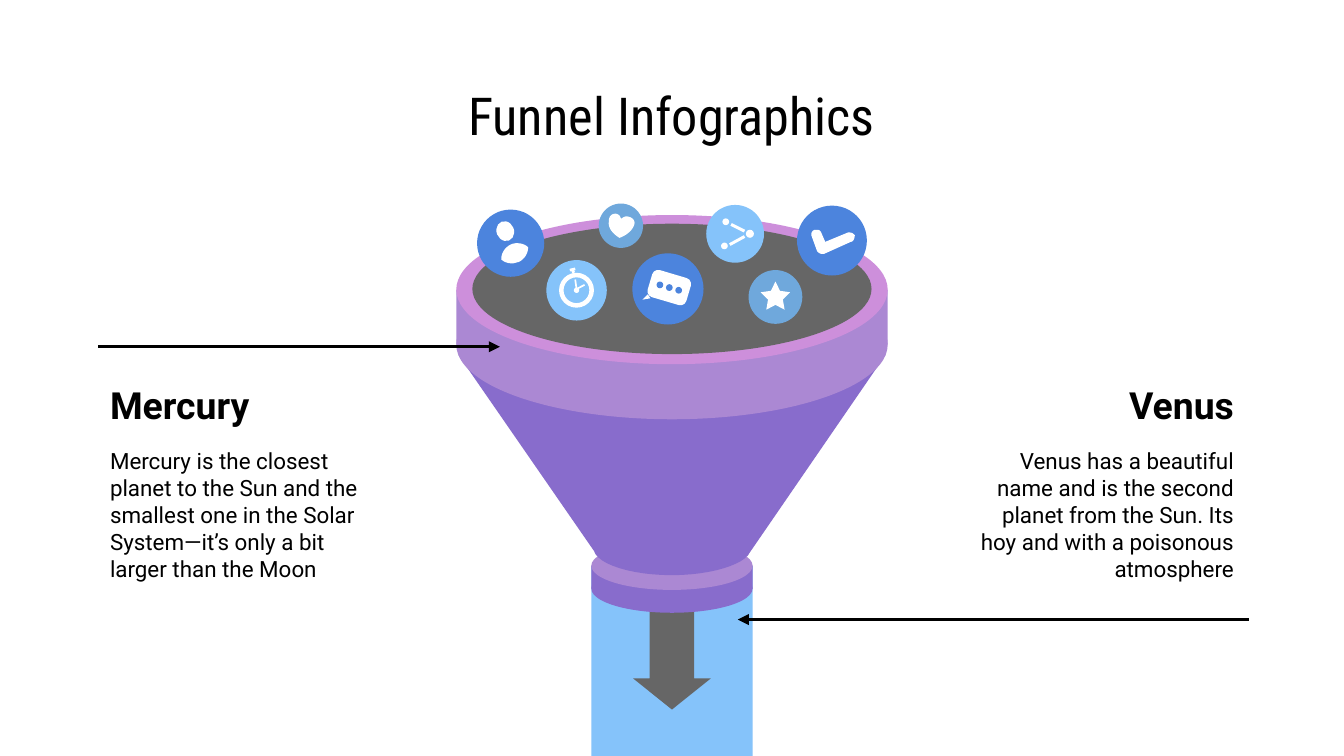
from lxml.etree import SubElement
from pptx import Presentation
from pptx.dml.color import RGBColor
from pptx.enum.shapes import MSO_CONNECTOR, MSO_SHAPE as SHAPE
from pptx.enum.text import MSO_ANCHOR as ANCHOR, PP_ALIGN as ALIGN
from pptx.oxml.ns import qn
from pptx.util import Inches, Pt

W = 10
H = W * 9 / 16
MID = W / 2
BLACK, WHITE, GRAY = "000000", "FFFFFF", "666666"
BLUE, STEEL, SKY = "4C84DD", "6FA8DC", "85C3FA"
PURPLE, LILAC, PINK = "886CCC", "AB88D3", "CD8FDB"

TITLE = "Funnel Infographics"
# heading, body, left, alignment
NOTES = [
    ("Mercury", "Mercury is the closest planet to the Sun and the smallest one in "
     "the Solar System—it’s only a bit larger than the Moon", 0.72, ALIGN.LEFT),
    ("Venus", "Venus has a beautiful name and is the second planet from the Sun. "
     "Its hoy and with a poisonous atmosphere", 7.07, ALIGN.RIGHT),
]
POINTERS = [((0.73, 2.58), (3.72, 2.58)), ((9.29, 4.61), (5.49, 4.61))]

# centre x, centre y, diameter, colour
BADGES = {
    "user": (3.8, 1.81, 0.5, BLUE),
    "timer": (4.29, 2.16, 0.45, SKY),
    "check": (6.19, 1.79, 0.52, BLUE),
    "heart": (4.62, 1.68, 0.33, STEEL),
    "share": (5.47, 1.74, 0.43, SKY),
    "chat": (4.97, 2.15, 0.53, BLUE),
    "star": (5.77, 2.21, 0.4, STEEL),
}

# Outlines: a start point, then points (2 numbers) or Bezier curves (6 numbers)
CONE = [(3.41, 2.64), (4.42, 4.1), (4.45, 4.2, 4.7, 4.28, 5, 4.28),
        (5.29, 4.28, 5.54, 4.2, 5.58, 4.11), (6.59, 2.64), (5, 2.82)]
USER_BODY = [(3.85, 1.81), (3.84, 1.81, 3.82, 1.81, 3.8, 1.82),
             (3.76, 1.84, 3.73, 1.88, 3.73, 1.93),
             (3.75, 1.95, 3.78, 1.96, 3.81, 1.96),
             (3.83, 1.96, 3.85, 1.95, 3.86, 1.95),
             (3.9, 1.93, 3.93, 1.89, 3.93, 1.84),
             (3.91, 1.82, 3.88, 1.81, 3.85, 1.81)]
CHECK = [(6.07, 1.71), (6.06, 1.71), (6.04, 1.72, 6.03, 1.74, 6.04, 1.76),
         (6.08, 1.87), (6.09, 1.88, 6.1, 1.89, 6.12, 1.89), (6.13, 1.89),
         (6.33, 1.8), (6.35, 1.8, 6.36, 1.77, 6.36, 1.75),
         (6.35, 1.74, 6.34, 1.73, 6.32, 1.73), (6.31, 1.73), (6.14, 1.8),
         (6.11, 1.73), (6.1, 1.71, 6.09, 1.71, 6.07, 1.71)]
HEART = [(4.58, 1.59), (4.55, 1.59, 4.53, 1.61, 4.53, 1.65),
         (4.52, 1.72, 4.61, 1.77, 4.61, 1.77), (4.61, 1.77, 4.7, 1.74, 4.72, 1.67),
         (4.73, 1.63, 4.69, 1.61, 4.66, 1.61), (4.65, 1.61, 4.63, 1.62, 4.62, 1.63),
         (4.62, 1.61, 4.6, 1.59, 4.58, 1.59)]
CHAT_TAIL = [(4.82, 2.19), (4.78, 2.23), (4.84, 2.22)]

# centre x, centre y, diameter, colour
DOTS = [(4.29, 2.16, 0.04, WHITE),
        (5.4, 1.65, 0.05, WHITE), (5.58, 1.74, 0.06, WHITE), (5.39, 1.83, 0.05, WHITE)]
DOTS += [(4.91 + 0.07 * i, 2.12 + 0.02 * i, 0.05, BLUE) for i in range(3)]

# from, to, width in points
STROKES = [((4.28, 2.08), (4.29, 2.15), 0.9), ((4.29, 2.15), (4.35, 2.12), 0.9),
           ((4.24, 2.01), (4.28, 2), 1.4), ((4.26, 2.01), (4.27, 2.03), 1.6),
           ((5.44, 1.67), (5.54, 1.72), 1.6), ((5.43, 1.82), (5.54, 1.76), 1.6)]

prs = Presentation()
prs.slide_width, prs.slide_height = Inches(W), Inches(H)
s = prs.slides.add_slide(prs.slide_layouts[6])


def rgb(color):
    return RGBColor.from_string(color)


def paint(sp, color):
    sp.shadow.inherit = False
    sp.fill.solid()
    sp.fill.fore_color.rgb = rgb(color)
    sp.line.fill.background()
    return sp


def shape(kind, x, y, w, h, color, rotation=0, adjust=()):
    sp = paint(s.shapes.add_shape(kind, Inches(x), Inches(y), Inches(w), Inches(h)), color)
    sp.rotation = rotation
    for i, value in enumerate(adjust):
        sp.adjustments[i] = value
    return sp


def centred(kind, cx, cy, w, h, color, rotation=0, adjust=()):
    return shape(kind, cx - w / 2, cy - h / 2, w, h, color, rotation, adjust)


def outline(steps, color, n=12):
    """Draw a closed freeform, with each Bezier curve cut into n segments."""
    points = [steps[0]]
    for step in steps[1:]:
        if len(step) == 2:
            points.append(step)
            continue
        ctrl = [points[-1], step[:2], step[2:4], step[4:]]
        for i in range(1, n + 1):
            t = i / n
            weights = ((1 - t) ** 3, 3 * t * (1 - t) ** 2, 3 * t * t * (1 - t), t ** 3)
            points.append(tuple(sum(k * c[axis] for k, c in zip(weights, ctrl))
                                for axis in (0, 1)))
    emu = [(Inches(x), Inches(y)) for x, y in points]
    builder = s.shapes.build_freeform(*emu[0])
    builder.add_line_segments(emu[1:], close=True)
    return paint(builder.convert_to_shape(), color)


def line(start, end, width, color, arrow=False):
    c = s.shapes.add_connector(MSO_CONNECTOR.STRAIGHT, *map(Inches, start + end))
    c.line.color.rgb = rgb(color)
    c.line.width = Pt(width)
    if arrow:
        SubElement(c.line._get_or_add_ln(), qn("a:tailEnd"), type="triangle")
    SubElement(c._element.spPr, qn("a:effectLst"))


def text(content, x, y, w, h, size, font="Roboto", align=ALIGN.LEFT,
         anchor=ANCHOR.MIDDLE, bold=False):
    tf = s.shapes.add_textbox(Inches(x), Inches(y), Inches(w), Inches(h)).text_frame
    tf.word_wrap = True
    tf.vertical_anchor = anchor
    tf.margin_left = tf.margin_right = tf.margin_top = tf.margin_bottom = Inches(0.1)
    p = tf.paragraphs[0]
    p.text, p.alignment = content, align
    p.font.name, p.font.size, p.font.bold = font, Pt(size), bold
    p.font.color.rgb = rgb(BLACK)


def drum(y, w, h, depth, side, top):
    """Draw a short cylinder centred on the slide; h is the height of its ellipses."""
    x = MID - w / 2
    shape(SHAPE.OVAL, x, y + depth, w, h, side)
    shape(SHAPE.RECTANGLE, x, y + h / 2, w, depth, side)
    shape(SHAPE.OVAL, x, y, w, h, top)


text(TITLE, 3.12, 0.59, 3.75, 0.53, 28, "Roboto Condensed", ALIGN.CENTER)

# Funnel, from the pipe up to the mouth
shape(SHAPE.RECTANGLE, 4.4, 4.21, 1.2, H - 4.21, SKY)
shape(SHAPE.DOWN_ARROW, 4.71, 3.98, 0.58, 1.3, GRAY, adjust=(0.57, 0.4))
drum(4.03, 1.2, 0.36, 0.17, PURPLE, LILAC)
outline(CONE, PURPLE)
drum(1.6, 3.21, 1.11, 0.41, LILAC, PINK)
centred(SHAPE.OVAL, MID, 2.15, 2.97, 0.97, GRAY)

for heading, body, x, align in NOTES:
    text(heading, x, 2.76, 2.21, 0.5, 20, align=align, bold=True)
    text(body, x, 3.23, 2.21, 1.16, 12, align=align, anchor=ANCHOR.TOP)
for start, end in POINTERS:
    line(start, end, 1.5, BLACK, arrow=True)

# Badges and their icons
for cx, cy, d, color in BADGES.values():
    centred(SHAPE.OVAL, cx, cy, d, d, color)
for icon in (USER_BODY, CHECK, HEART, CHAT_TAIL):
    outline(icon, WHITE)
centred(SHAPE.OVAL, 3.76, 1.72, 0.13, 0.15, WHITE, -22)
centred(SHAPE.DONUT, 4.29, 2.16, 0.26, 0.26, WHITE, adjust=(0.13,))
centred(SHAPE.ROUNDED_RECTANGLE, 4.98, 2.14, 0.3, 0.21, WHITE, 16.5, (0.22,))
centred(SHAPE.STAR_5_POINT, 5.77, 2.2, 0.22, 0.21, WHITE, adjust=(0.25,))
for start, end, width in STROKES:
    line(start, end, width, WHITE)
for cx, cy, d, color in DOTS:
    centred(SHAPE.OVAL, cx, cy, d, d, color)

prs.save("out.pptx")
